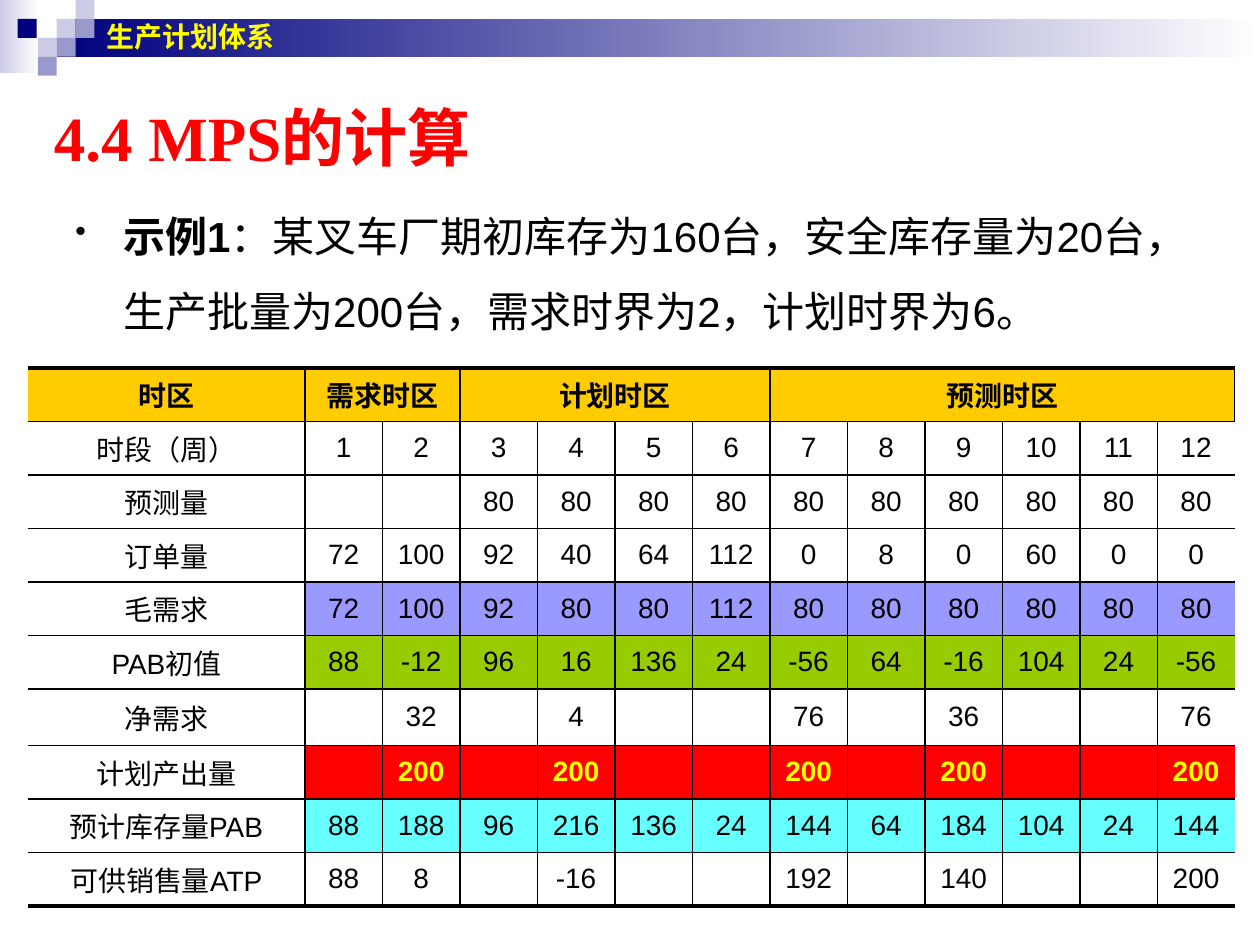
from dataclasses import dataclass
from typing import NamedTuple, Optional

from lxml.etree import SubElement
from pptx import Presentation
from pptx.dml.color import RGBColor
from pptx.enum.shapes import MSO_SHAPE
from pptx.enum.text import MSO_ANCHOR, PP_ALIGN
from pptx.oxml.ns import qn
from pptx.util import Inches, Pt


@dataclass(frozen=True)
class Theme:
    sans: str = "Arial"
    serif: str = "Times New Roman"
    title_size: int = 36
    body_size: int = 24
    small_size: int = 16
    thin: float = 1
    thick: float = 2.25
    black: str = "000000"
    white: str = "FFFFFF"
    yellow: str = "FFFF00"
    red: str = "FF0000"
    navy: str = "00007D"
    lavender: str = "CCCCE6"
    violet: str = "9999CC"
    header: str = "FFCC00"
    gross: str = "9999FF"
    initial: str = "99CC00"
    balance: str = "66FFFF"


THEME = Theme()


class Block(NamedTuple):
    left: float
    top: float
    width: float
    height: float
    color: str
    fade_to: Optional[str] = None


class PlanRow(NamedTuple):
    label: str
    values: str  # one entry per week, "_" for an empty cell
    fill: Optional[str] = None
    color: str = THEME.black
    bold: bool = False
    height: Optional[float] = None


class Zone(NamedTuple):
    name: str
    column: int
    span: int


STEP = 0.15
BLOCKS = [
    Block(0, 0, 0.31, 0.58, THEME.lavender, THEME.white),
    Block(0.45, STEP, 9.55, 0.3, THEME.navy, THEME.white),
] + [
    Block(left, row * STEP, STEP, STEP, color)
    for left, row, color in [
        (0.45, 1, THEME.lavender), (0.6, 0, THEME.lavender),
        (0.6, 1, THEME.violet), (0.3, 2, THEME.lavender),
        (0.14, 1, THEME.navy), (0.45, 2, THEME.violet),
        (0.3, 3, THEME.violet),
    ]
]

ZONES = [Zone("时区", 0, 1), Zone("需求时区", 1, 2),
         Zone("计划时区", 3, 4), Zone("预测时区", 7, 6)]

PLAN_ROWS = [
    PlanRow("时段（周）", "1 2 3 4 5 6 7 8 9 10 11 12"),
    PlanRow("预测量", "_ _ 80 80 80 80 80 80 80 80 80 80"),
    PlanRow("订单量", "72 100 92 40 64 112 0 8 0 60 0 0"),
    PlanRow("毛需求", "72 100 92 80 80 112 80 80 80 80 80 80", THEME.gross),
    PlanRow("PAB初值", "88 -12 96 16 136 24 -56 64 -16 104 24 -56", THEME.initial),
    PlanRow("净需求", "_ 32 _ 4 _ _ 76 _ 36 _ _ 76", height=0.45),
    PlanRow("计划产出量", "_ 200 _ 200 _ _ 200 _ 200 _ _ 200",
            THEME.red, THEME.yellow, True),
    PlanRow("预计库存量PAB", "88 188 96 216 136 24 144 64 184 104 24 144", THEME.balance),
    PlanRow("可供销售量ATP", "88 8 _ -16 _ _ 192 _ 140 _ _ 200"),
]
WEEKS = 12
TABLE_LEFT, TABLE_TOP, TABLE_WIDTH, TABLE_HEIGHT = 0.22, 2.92, 9.58, 4.27
LABEL_WIDTH = 2.2


def style_font(font, size: float, color: str, bold: bool, name: str = THEME.sans) -> None:
    font.name = name
    font.size = Pt(size)
    font.bold = bold
    font.color.rgb = RGBColor.from_string(color)


def draw_block(slide, block: Block) -> None:
    shape = slide.shapes.add_shape(
        MSO_SHAPE.RECTANGLE, Inches(block.left), Inches(block.top),
        Inches(block.width), Inches(block.height))
    shape.shadow.inherit = False
    shape.line.fill.background()
    if block.fade_to:
        shape.fill.gradient()
        shape.fill.gradient_angle = 0
        for stop, color in zip(shape.fill.gradient_stops, (block.color, block.fade_to)):
            stop.color.rgb = RGBColor.from_string(color)
    else:
        shape.fill.solid()
        shape.fill.fore_color.rgb = RGBColor.from_string(block.color)


def add_text_frame(slide, left: float, top: float, width: float, height: float, anchor):
    box = slide.shapes.add_textbox(Inches(left), Inches(top), Inches(width), Inches(height))
    box.text_frame.word_wrap = True
    box.text_frame.vertical_anchor = anchor
    return box.text_frame


def draw_example(slide) -> None:
    paragraph = add_text_frame(slide, 0.5, 1.42, 9.17, 1.33, MSO_ANCHOR.TOP).paragraphs[0]
    paragraph.line_spacing = 1.5
    properties = paragraph._p.get_or_add_pPr()
    properties.set("marL", str(Inches(0.38)))
    properties.set("indent", str(-Inches(0.38)))
    bullet_color = SubElement(properties, qn("a:buClr"))
    SubElement(bullet_color, qn("a:srgbClr"), val=THEME.black)
    SubElement(properties, qn("a:buSzPct"), val="75000")
    SubElement(properties, qn("a:buChar"), char="•")
    for text, bold in [
        ("示例1", True),
        ("：某叉车厂期初库存为160台，安全库存量为20台，"
         "生产批量为200台，需求时界为2，计划时界为6。", False),
    ]:
        run = paragraph.add_run()
        run.text = text
        style_font(run.font, THEME.body_size, THEME.black, bold)


def set_borders(cell, widths: dict) -> None:
    """Draw each side at its width in points; a zero width leaves it open."""
    properties = cell._tc.get_or_add_tcPr()
    for side in ("L", "R", "T", "B"):
        line = SubElement(properties, qn(f"a:ln{side}"), w=str(Pt(widths[side])))
        if widths[side]:
            fill = SubElement(line, qn("a:solidFill"))
            SubElement(fill, qn("a:srgbClr"), val=THEME.black)
        else:
            SubElement(line, qn("a:noFill"))


def fill_cell(cell, text: str, fill: Optional[str], color: str, bold: bool) -> None:
    cell.vertical_anchor = MSO_ANCHOR.MIDDLE
    if fill:
        cell.fill.solid()
        cell.fill.fore_color.rgb = RGBColor.from_string(fill)
    else:
        cell.fill.background()
    paragraph = cell.text_frame.paragraphs[0]
    paragraph.text = text
    paragraph.alignment = PP_ALIGN.CENTER
    style_font(paragraph.font, THEME.small_size, color, bold)


def draw_plan_table(slide) -> None:
    table = slide.shapes.add_table(
        len(PLAN_ROWS) + 1, WEEKS + 1, Inches(TABLE_LEFT), Inches(TABLE_TOP),
        Inches(TABLE_WIDTH), Inches(TABLE_HEIGHT)).table
    table.first_row = table.horz_banding = False

    # Column widths and row heights share what the special ones leave
    table.columns[0].width = Inches(LABEL_WIDTH)
    for week in range(1, WEEKS + 1):
        table.columns[week].width = Inches((TABLE_WIDTH - LABEL_WIDTH) / WEEKS)
    heights = [None] + [row.height for row in PLAN_ROWS]
    plain_height = (TABLE_HEIGHT - sum(filter(None, heights))) / heights.count(None)
    for row, height in zip(table.rows, heights):
        row.height = Inches(height or plain_height)

    # Open sides, heavy top and bottom rules
    last_row = len(PLAN_ROWS)
    for row_index in range(last_row + 1):
        for column in range(WEEKS + 1):
            set_borders(table.cell(row_index, column), {
                "L": THEME.thin if column else 0,
                "R": THEME.thin if column < WEEKS else 0,
                "T": THEME.thin if row_index else THEME.thick,
                "B": THEME.thin if row_index < last_row else THEME.thick,
            })

    # Zone headings, then the plan rows
    for zone in ZONES:
        cell = table.cell(0, zone.column)
        if zone.span > 1:
            cell.merge(table.cell(0, zone.column + zone.span - 1))
        fill_cell(cell, zone.name, THEME.header, THEME.black, True)
    for row_index, row in enumerate(PLAN_ROWS, start=1):
        fill_cell(table.cell(row_index, 0), row.label, None, THEME.black, False)
        for week, value in enumerate(row.values.split(), start=1):
            fill_cell(table.cell(row_index, week), value.replace("_", ""),
                      row.fill, row.color, row.bold)


def draw_heading(slide, text: str, place: tuple, size: float, color: str, name: str) -> None:
    paragraph = add_text_frame(slide, *place, MSO_ANCHOR.MIDDLE).paragraphs[0]
    paragraph.text = text
    style_font(paragraph.font, size, color, True, name)


def main() -> None:
    presentation = Presentation()
    presentation.slide_width, presentation.slide_height = Inches(10), Inches(7.5)
    slide = presentation.slides.add_slide(presentation.slide_layouts[6])
    for block in BLOCKS:
        draw_block(slide, block)
    draw_example(slide)
    draw_heading(slide, "生产计划体系", (0.75, 0, 8.83, 0.58),
                 THEME.small_size, THEME.yellow, THEME.sans)
    draw_plan_table(slide)
    draw_heading(slide, "4.4 MPS的计算", (0.33, 0.75, 9, 0.67),
                 THEME.title_size, THEME.red, THEME.serif)
    presentation.save("out.pptx")


if __name__ == "__main__":
    main()
